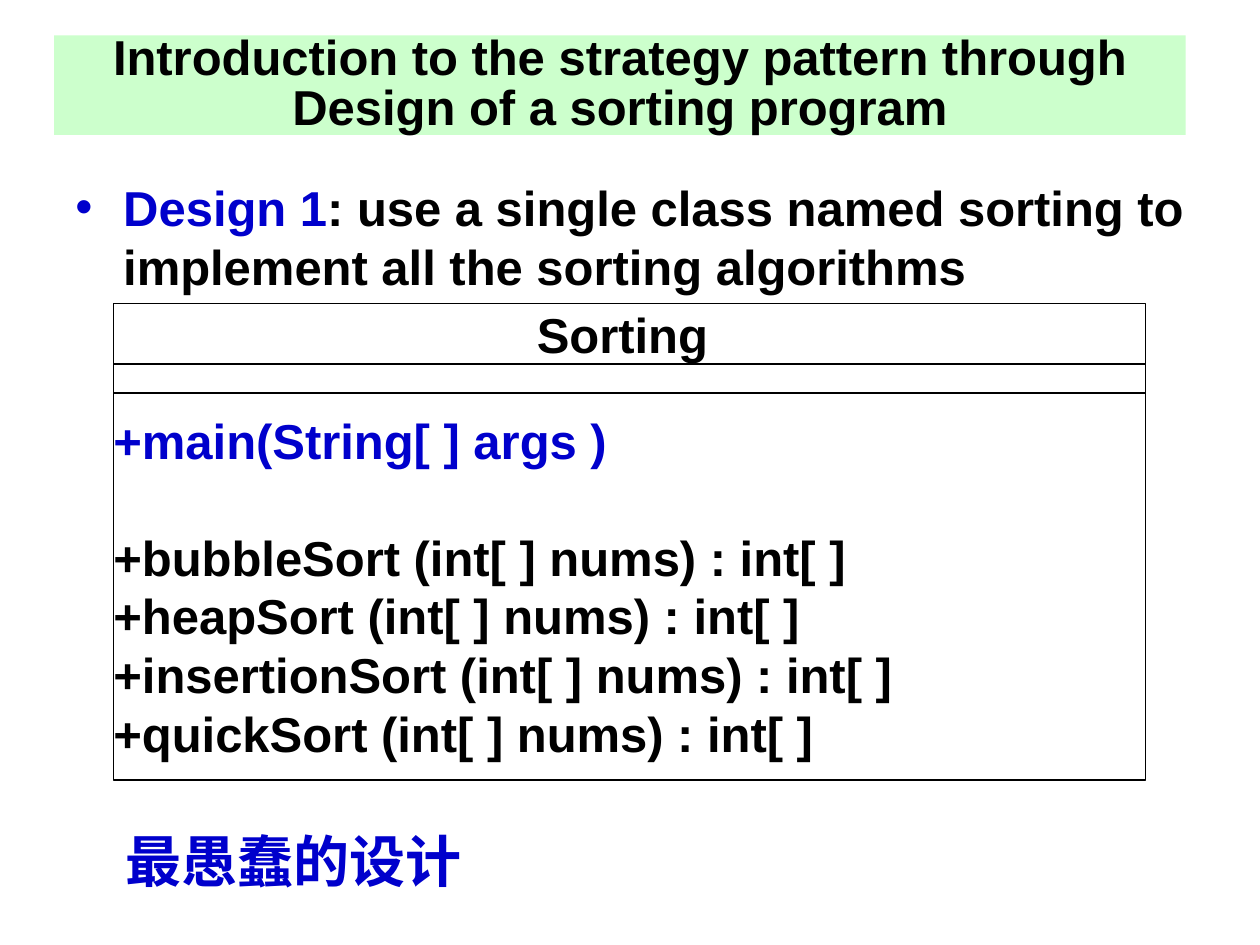
from pptx import Presentation, util as u
from pptx.dml.color import RGBColor
from pptx.enum import shapes, text
from pptx.oxml.ns import qn
from lxml import etree

BLACK, BLUE, WHITE, MINT = "000000", "0000CC", "FFFFFF", "CCFFCC"
COLUMNS, ROWS = 100, 75


def color(value):
    return RGBColor.from_string(value)


class Page:
    """Style and current slide; lengths are columns and rows of the grid."""
    font_name, font_size, line_width = "Arial", 28, 0.75

    def __init__(self, deck):
        self.slide = deck.slides.add_slide(deck.slide_layouts[6])
        self.column = deck.slide_width / COLUMNS
        self.row = deck.slide_height / ROWS

    def place(self, left, top, width, height):
        return (round(left * self.column), round(top * self.row),
                round(width * self.column), round(height * self.row))

    def set_frame(self, frame, anchor, insets):
        frame.word_wrap = True
        frame.vertical_anchor = anchor
        (frame.margin_left, frame.margin_top,
         frame.margin_right, frame.margin_bottom) = map(u.Inches, insets)

    def set_font(self, font, ink=BLACK, size=None, name=None):
        font.name, font.size = name or self.font_name, u.Pt(size or self.font_size)
        font.bold = True
        font.color.rgb = color(ink)

    def rectangle(self, at, fill=WHITE, line=BLACK, insets=(0, 0, 0, 0)):
        box = self.slide.shapes.add_shape(shapes.MSO_SHAPE.RECTANGLE, *self.place(*at))
        box.shadow.inherit = False
        box.fill.solid()
        box.fill.fore_color.rgb = color(fill)
        if line:
            box.line.color.rgb = color(line)
            box.line.width = u.Pt(self.line_width)
        else:
            box.line.fill.background()
        self.set_frame(box.text_frame, text.MSO_ANCHOR.MIDDLE, insets)
        return box

    def text_box(self, at):
        box = self.slide.shapes.add_textbox(*self.place(*at))
        self.set_frame(box.text_frame, text.MSO_ANCHOR.TOP, (0.1, 0.05, 0.1, 0.05))
        return box

    def add_lines(self, box, lines, ink=BLACK, align=text.PP_ALIGN.LEFT, **style):
        frame = box.text_frame
        for index, line in enumerate(lines):
            para = frame.add_paragraph() if index else frame.paragraphs[0]
            para.add_run().text = line
            para.alignment = align
            self.set_font(para.font, ink, **style)
        return frame.paragraphs

    def bullet(self, box, spans, indent, ink):
        para = box.text_frame.paragraphs[0]
        props = para._p.get_or_add_pPr()
        props.set("marL", str(u.Inches(indent)))
        props.set("indent", str(-u.Inches(indent)))
        tint = etree.SubElement(props, qn("a:buClr"))
        etree.SubElement(tint, qn("a:srgbClr"), val=ink)
        etree.SubElement(props, qn("a:buFont"), typeface=self.font_name)
        etree.SubElement(props, qn("a:buChar"), char="•")
        for words, span_ink in spans:
            span = para.add_run()
            span.text = words
            self.set_font(span.font, span_ink)


def main():
    deck = Presentation()
    deck.slide_width, deck.slide_height = u.Inches(10), u.Inches(7.5)
    page = Page(deck)

    # Title band
    title = page.rectangle((4.3, 2.8, 89.8, 7.9), MINT, None, (0.1, 0.05, 0.1, 0.05))
    heading = page.add_lines(
        title, ["Introduction to the strategy pattern through Design of a sorting program"],
        align=text.PP_ALIGN.CENTER)
    heading[0].line_spacing = 0.85

    # Design statement
    statement = page.text_box((5, 13.6, 90, 10.6))
    page.bullet(statement, [
        ("Design 1", BLUE),
        (": use a single class named sorting to implement all the sorting algorithms", BLACK),
    ], 0.38, BLUE)

    # Class diagram: name, attributes and methods, stacked
    left, top, width = 9, 24.1, 81.9
    compartments = []
    for height, right_inset in ((4.8, 0.11), (2.3, 0), (30.7, 0)):
        compartments.append(page.rectangle((left, top, width, height),
                                           insets=(0, 0, right_inset, 0)))
        top += height
    name, _, methods = compartments
    page.add_lines(name, ["Sorting"], align=text.PP_ALIGN.CENTER)
    sorts = [f"+{kind}Sort (int[ ] nums) : int[ ]"
             for kind in ("bubble", "heap", "insertion", "quick")]
    entry = page.add_lines(methods, ["+main(String[ ] args )", *sorts])[0]
    entry.font.color.rgb = color(BLUE)
    entry.space_after = u.Pt(33)

    # Verdict, with its font also set for East Asian text
    verdict = page.text_box((left, 65.1, 31.5, 6.4))
    cjk = "Noto Sans CJK SC"
    para = page.add_lines(verdict, ["最愚蠢的设计"], BLUE, size=32, name=cjk)[0]
    span = para.runs[0]
    span.font.name = cjk
    etree.SubElement(span._r.get_or_add_rPr(), qn("a:ea"), typeface=cjk)

    deck.save("out.pptx")


if __name__ == "__main__":
    main()
